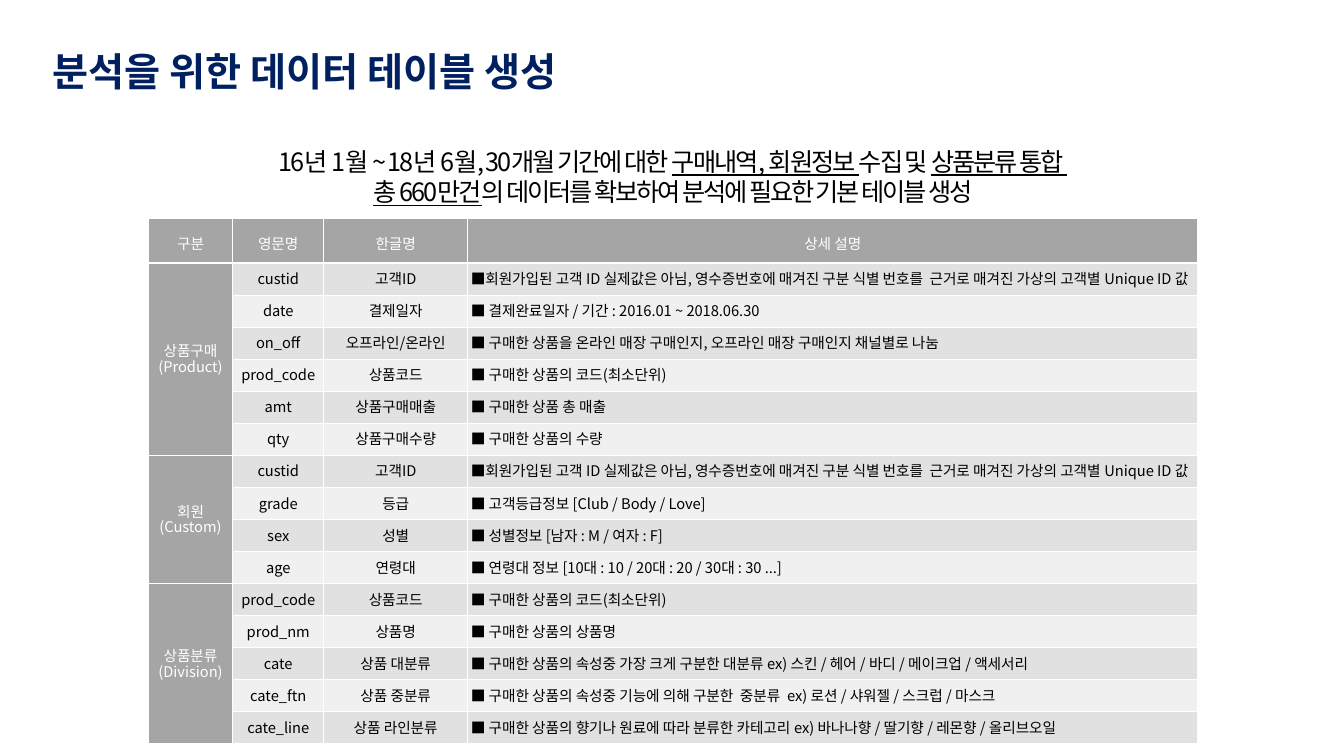
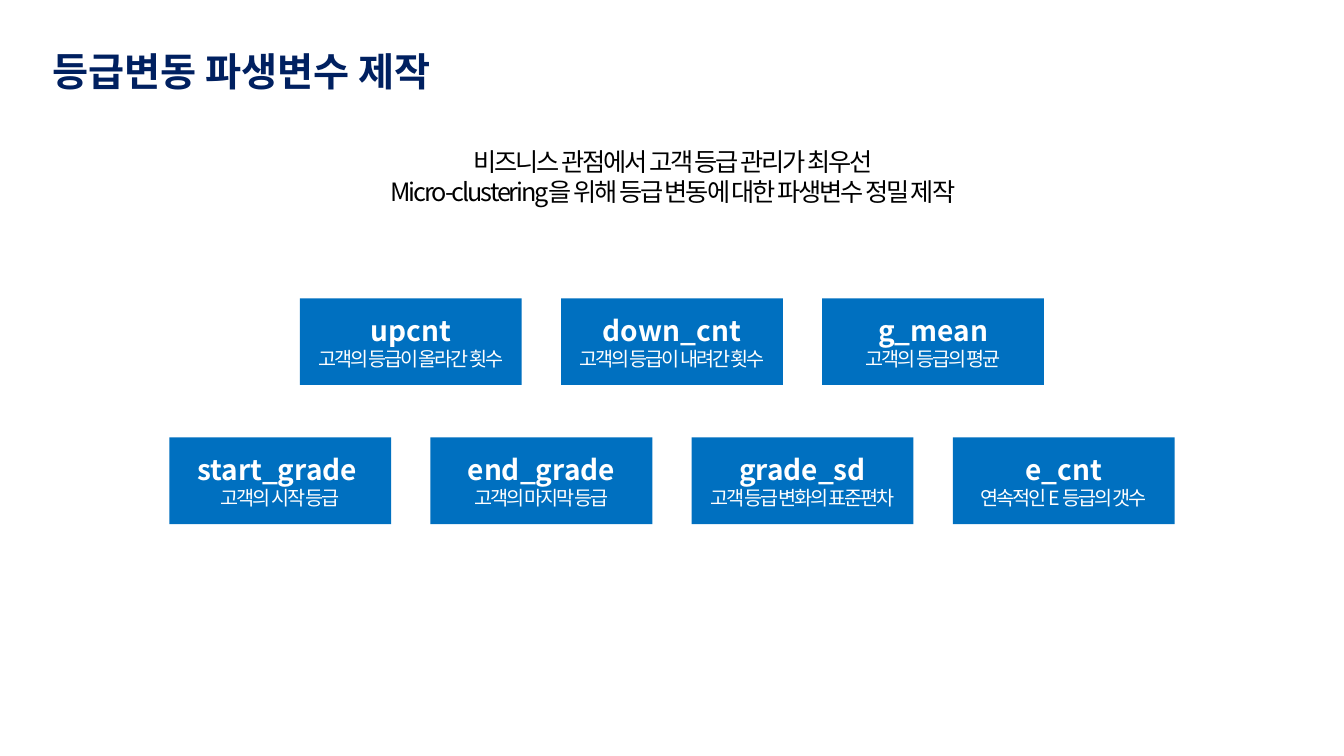
from dataclasses import dataclass, field

from lxml import etree
from pptx import Presentation
from pptx.dml.color import RGBColor
from pptx.enum import shapes, text
from pptx.oxml import ns
from pptx.util import Inches, Pt

FONT = "Noto Sans CJK KR"
NAVY, BLUE, BLACK, WHITE = "002060", "0070C0", "000000", "FFFFFF"
GRAY, BANDS = "A5A5A5", ("E1E1E1", "F0F0F0")
SLIDE_W, SLIDE_H = 13.33, 7.5
CENTER, LEFT = text.PP_ALIGN.CENTER, text.PP_ALIGN.LEFT


@dataclass
class Style:
    size: float
    color: str
    tracking: float = 0
    format: dict = field(default_factory=dict)


@dataclass
class Span:
    text: str
    underline: bool = False


@dataclass
class Variable:
    name: str
    meaning: str


@dataclass
class Group:
    label: tuple[str, str]
    rows: list[tuple[str, str, str]]


TITLE = Style(28, NAVY, format={"bold": True})
LEAD = Style(18, BLACK, -1.5)
BOX_NAME = Style(20, WHITE, format={"bold": True})
BOX_MEANING = Style(14, WHITE, -1.5)
CELL_DARK, CELL_LIGHT = Style(10.5, BLACK), Style(10.5, WHITE)

# Table content
HEADERS = ("구분", "영문명", "한글명", "상세 설명")
CUSTOMER_ID = ("custid", "고객ID", "■회원가입된 고객 ID 실제값은 아님, 영수증번호에 매겨진 구분 식별 번호를  "
               "근거로 매겨진 가상의 고객별 Unique ID 값")
PRODUCT_CODE = ("prod_code", "상품코드", "■ 구매한 상품의 코드(최소단위)")
GROUPS = [
    Group(("상품구매", "(Product)"), [
        CUSTOMER_ID,
        ("date", "결제일자", "■ 결제완료일자 / 기간 : 2016.01 ~ 2018.06.30"),
        ("on_off", "오프라인/온라인",
         "■ 구매한 상품을 온라인 매장 구매인지, 오프라인 매장 구매인지 채널별로 나눔"),
        PRODUCT_CODE,
        ("amt", "상품구매매출", "■ 구매한 상품 총 매출"),
        ("qty", "상품구매수량", "■ 구매한 상품의 수량"),
    ]),
    Group(("회원", "(Custom)"), [
        CUSTOMER_ID,
        ("grade", "등급", "■ 고객등급정보 [Club / Body / Love]"),
        ("sex", "성별", "■ 성별정보 [남자 : M / 여자 : F]"),
        ("age", "연령대", "■ 연령대 정보 [10대 : 10 / 20대 : 20 / 30대 : 30 ...]"),
    ]),
    Group(("상품분류", "(Division)"), [
        PRODUCT_CODE,
        ("prod_nm", "상품명", "■ 구매한 상품의 상품명"),
        ("cate", "상품 대분류",
         "■ 구매한 상품의 속성중 가장 크게 구분한 대분류 ex) 스킨 / 헤어 / 바디 / 메이크업 / 액세서리"),
        ("cate_ftn", "상품 중분류",
         "■ 구매한 상품의 속성중 기능에 의해 구분한  중분류  ex) 로션 / 샤워젤 / 스크럽 / 마스크"),
        ("cate_line", "상품 라인분류",
         "■ 구매한 상품의 향기나 원료에 따라 분류한 카테고리 ex) 바나나향 / 딸기향 / 레몬향 / 올리브오일"),
    ]),
]

# Derived variables, one list per row of boxes
VARIABLE_ROWS = [
    [Variable("upcnt", "고객의 등급이 올라간 횟수"),
     Variable("down_cnt", "고객의 등급이 내려간 횟수"),
     Variable("g_mean", "고객의 등급의 평균")],
    [Variable("start_grade ", "고객의 시작 등급"),
     Variable("end_grade", "고객의 마지막 등급"),
     Variable("grade_sd", "고객 등급 변화의 표준편차"),
     Variable("e_cnt", "연속적인 E 등급의 갯수")],
]


def rgb(color: str) -> RGBColor:
    return RGBColor.from_string(color)


# Text
def add_span(para, span: Span, style: Style) -> None:
    run = para.add_run()
    run.text = span.text
    formats = {"name": FONT, "size": Pt(style.size), "underline": span.underline, **style.format}
    for name, value in formats.items():
        setattr(run.font, name, value)
    run.font.color.rgb = rgb(style.color)
    props = run._r.get_or_add_rPr()
    etree.SubElement(props, ns.qn("a:ea")).set("typeface", FONT)
    if style.tracking:
        props.set("spc", str(round(style.tracking * 100)))


def write(frame, lines: list[tuple[list[Span], Style]], align=CENTER, spacing: float = 1) -> None:
    for index, (spans, style) in enumerate(lines):
        para = frame.add_paragraph() if index else frame.paragraphs[0]
        para.alignment, para.line_spacing = align, spacing
        for span in spans:
            add_span(para, span, style)


def add_text(page, left: float, top: float, width: float, height: float):
    box = page.shapes.add_textbox(Inches(left), Inches(top), Inches(width), Inches(height))
    box.text_frame.word_wrap = True
    box.text_frame.auto_size = text.MSO_AUTO_SIZE.SHAPE_TO_FIT_TEXT
    return box.text_frame


def add_page(deck, title: str, lead: list[list[Span]]):
    page = deck.slides.add_slide(deck.slide_layouts[6])
    write(add_text(page, 0.42, 0.47, 9.18, 0.54), [([Span(title)], TITLE)], LEFT, 0.9)
    write(add_text(page, 0.46, 1.4, 12.43, 0.71), [(spans, LEAD) for spans in lead])
    return page


# Table
def set_borders(cell) -> None:
    props = cell._tc.get_or_add_tcPr()
    for side in "LRTB":
        line = etree.SubElement(props, ns.qn(f"a:ln{side}"), w=str(Pt(1)))
        fill = etree.SubElement(line, ns.qn("a:solidFill"))
        etree.SubElement(fill, ns.qn("a:srgbClr"), val=WHITE)


def fill_cell(cell, lines: tuple[str, ...], fill: str, style: Style, align=CENTER,
              spacing: float = 0.75) -> None:
    # The top margin keeps tightly spaced two-line text inside its cell
    margins = {"margin_left": 0.03, "margin_right": 0.03, "margin_top": 0.02, "margin_bottom": 0}
    for name, value in margins.items():
        setattr(cell, name, Inches(value))
    cell.vertical_anchor = text.MSO_ANCHOR.MIDDLE
    set_borders(cell)
    cell.fill.solid()
    cell.fill.fore_color.rgb = rgb(fill)
    write(cell.text_frame, [([Span(line)], style) for line in lines], align, spacing)


def add_data_table(page) -> None:
    widths = (0.84, 0.9, 1.43, 7.24)
    table_height, header_height = 5.21, 0.44
    row_count = sum(len(group.rows) for group in GROUPS)
    heights = [header_height] + [(table_height - header_height) / row_count] * row_count
    table = page.shapes.add_table(len(heights), len(widths), Inches(1.47), Inches(2.17),
                                  Inches(sum(widths)), Inches(table_height)).table
    for column, width in zip(table.columns, widths):
        column.width = Inches(width)
    for row, height in zip(table.rows, heights):
        row.height = Inches(height)
    for column, header in enumerate(HEADERS):
        fill_cell(table.cell(0, column), (header,), GRAY, CELL_LIGHT, spacing=1.15)

    first = 1
    for group in GROUPS:
        last = first + len(group.rows) - 1
        table.cell(first, 0).merge(table.cell(last, 0))
        fill_cell(table.cell(first, 0), group.label, GRAY, CELL_LIGHT)
        for row, values in enumerate(group.rows, first):
            for column, value in enumerate(values, 1):
                fill_cell(table.cell(row, column), (value,), BANDS[(row - 1) % 2], CELL_DARK,
                          LEFT if column == 3 else CENTER)
        first = last + 1


# Variable boxes
def add_variable_box(page, variable: Variable, left: float, top: float,
                     width: float, height: float) -> None:
    box = page.shapes.add_shape(shapes.MSO_SHAPE.RECTANGLE, Inches(left), Inches(top),
                                Inches(width), Inches(height))
    box.shadow.inherit = False
    box.fill.solid()
    box.fill.fore_color.rgb = rgb(BLUE)
    box.line.fill.background()
    box.text_frame.word_wrap = True
    box.text_frame.vertical_anchor = text.MSO_ANCHOR.MIDDLE
    write(box.text_frame, [([Span(variable.name)], BOX_NAME),
                           ([Span(variable.meaning)], BOX_MEANING)])


def add_variable_rows(page) -> None:
    width, height, gap = 2.2, 0.86, 0.39
    for row, variables in enumerate(VARIABLE_ROWS):
        row_width = len(variables) * (width + gap) - gap
        left = (SLIDE_W - row_width) / 2
        for column, variable in enumerate(variables):
            add_variable_box(page, variable, left + column * (width + gap),
                             2.96 + row * 1.38, width, height)


def main() -> None:
    deck = Presentation()
    deck.slide_width, deck.slide_height = Inches(SLIDE_W), Inches(SLIDE_H)

    # Base data table
    page = add_page(deck, "분석을 위한 데이터 테이블 생성", [
        [Span("16년 1월 ~ 18년 6월, 30개월 기간에 대한 "), Span("구매내역, 회원정보 ", True),
         Span("수집 및 "), Span("상품분류 통합 ", True)],
        [Span("총 660만건", True), Span("의 데이터를 확보하여 분석에 필요한 기본 테이블 생성")],
    ])
    add_data_table(page)

    # Derived grade variables
    page = add_page(deck, "등급변동 파생변수 제작", [
        [Span("비즈니스 관점에서 고객 등급 관리가 최우선")],
        [Span("Micro-clustering을 위해 등급 변동에 대한 파생변수 정밀 제작")],
    ])
    add_variable_rows(page)

    deck.save("out.pptx")


if __name__ == "__main__":
    main()
